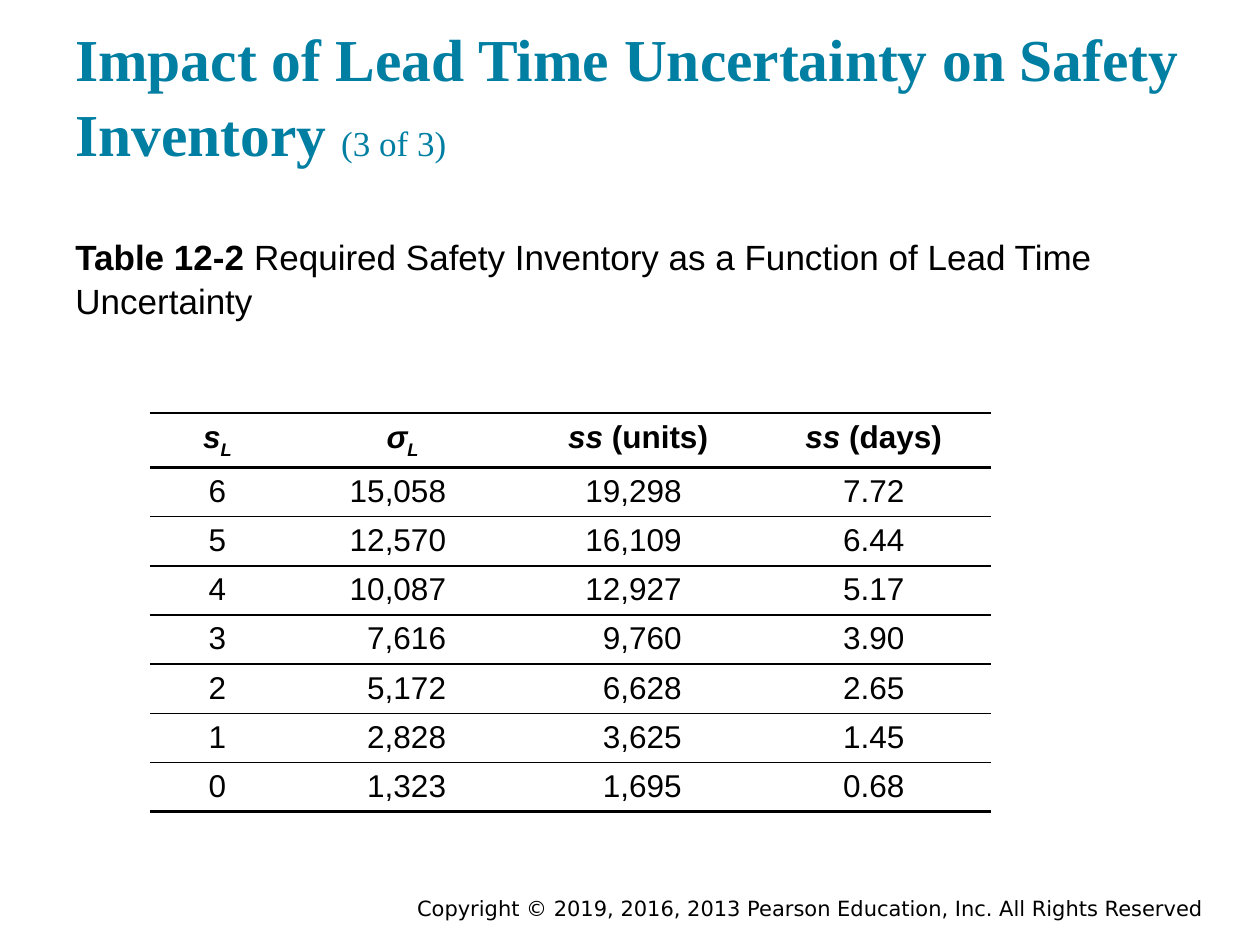
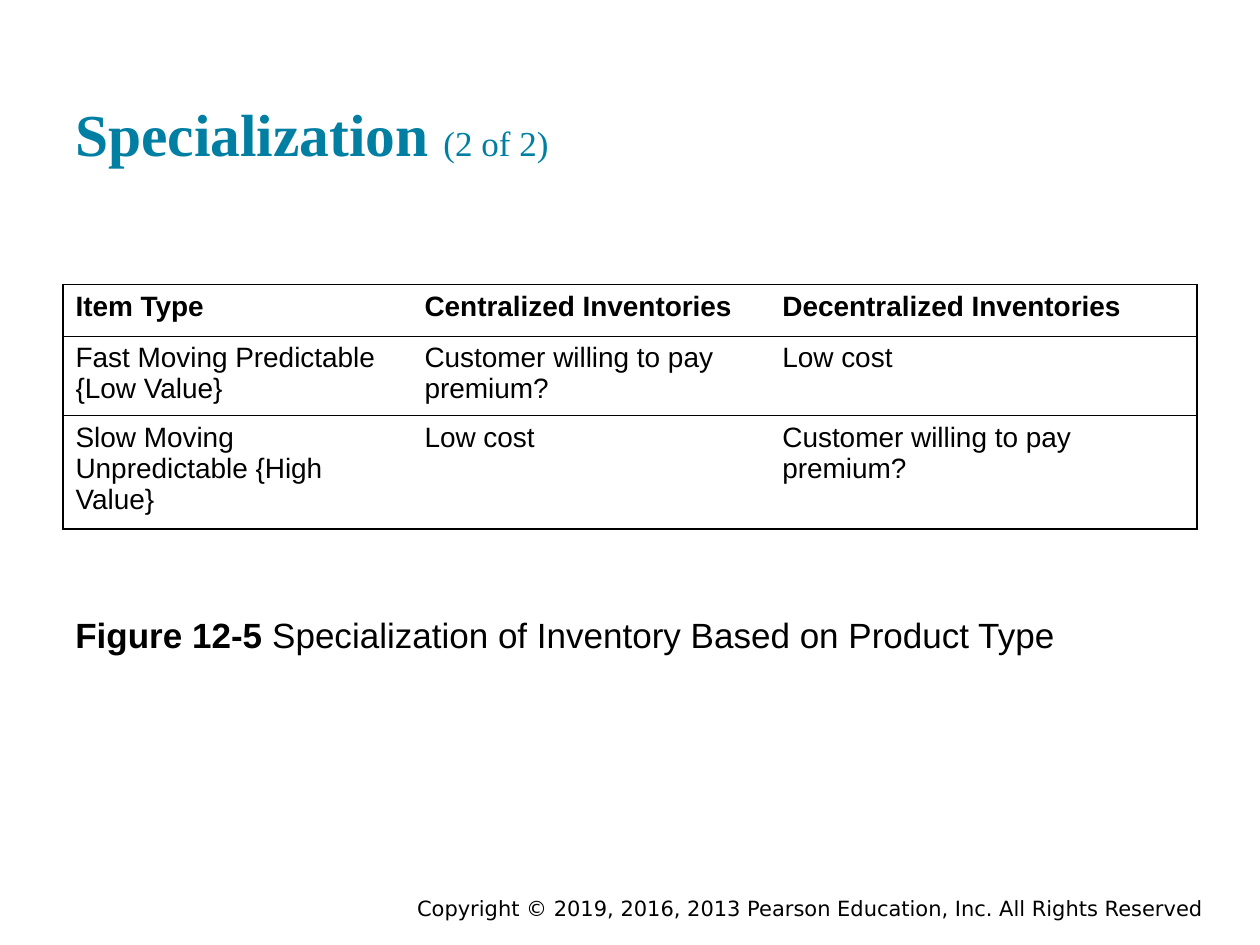
"""Build two slides on safety inventory and specialization."""
from dataclasses import dataclass
from typing import NamedTuple

from lxml import etree
from pptx import Presentation
from pptx import util as u
from pptx.dml.color import RGBColor
from pptx.enum import text
from pptx.oxml import ns

SCALE = 9144
PLAIN = "{2D5ABB26-0587-4C30-8999-92F81FD0307C}"
LEFT, MID, RIGHT = text.PP_ALIGN.LEFT, text.PP_ALIGN.CENTER, text.PP_ALIGN.RIGHT
TOP, CENTER, BOTTOM = (text.MSO_ANCHOR.TOP, text.MSO_ANCHOR.MIDDLE,
                       text.MSO_ANCHOR.BOTTOM)


@dataclass(frozen=True)
class Theme:
    """Colours, fonts and type sizes of the deck."""
    teal: str = "007FA3"
    black: str = "000000"
    serif: str = "Times New Roman"
    sans: str = "Arial"
    small: str = "DejaVu Sans"
    title: int = 34
    count: int = 20
    body: int = 20
    data: int = 18
    note: int = 16
    foot: int = 12


THEME = Theme()


class Run(NamedTuple):
    """One stretch of text in one style."""
    words: str
    size: int
    face: str = THEME.sans
    color: str = THEME.black
    bold: bool = False
    slant: bool = False
    sub: bool = False


class Box(NamedTuple):
    """A place on the slide in px."""
    x: int
    y: int
    w: int
    h: int


class Cell(NamedTuple):
    """The runs of a table cell and how they sit."""
    runs: list[Run]
    align: text.PP_ALIGN = LEFT
    inset: int = 10
    after: int = 0


class Edge(NamedTuple):
    """Border widths of a cell in points, zero for none."""
    L: float = 0
    R: float = 0
    T: float = 0
    B: float = 0


class Grid(NamedTuple):
    """A table with its place, sizes, cells and borders."""
    x: int
    y: int
    cols: list[int]
    rows: list[int]
    cells: list[list[Cell]]
    edges: list[list[Edge]]


def px(size: int) -> u.Emu:
    """Turn px into EMU."""
    return u.Emu(size * SCALE)


def write(para, runs: list[Run], align=LEFT) -> None:
    """Add runs to a paragraph."""
    para.alignment = align
    for item in runs:
        run = para.add_run()
        run.text = item.words
        font = run.font
        font.name, font.size = item.face, u.Pt(item.size)
        font.bold, font.italic = item.bold, item.slant
        font.color.rgb = RGBColor.from_string(item.color)
        if item.sub:
            run._r.get_or_add_rPr().set("baseline", "-25000")


def label(slide, box: Box, runs: list[Run], align=LEFT, anchor=TOP,
          inset: int = 10, lead: float = 1.0) -> None:
    """Place a text box."""
    frame = slide.shapes.add_textbox(*map(px, box)).text_frame
    frame.word_wrap = True
    frame.vertical_anchor = anchor
    frame.margin_left = frame.margin_right = px(10)
    frame.margin_top = frame.margin_bottom = px(inset)
    para = frame.paragraphs[0]
    para.line_spacing = lead
    write(para, runs, align)


def border(cell, edge: Edge) -> None:
    """Draw the four sides of a cell."""
    props = cell._tc.get_or_add_tcPr()
    for side, width in zip(edge._fields, edge):
        line = etree.SubElement(props, ns.qn(f"a:ln{side}"), w=str(u.Pt(width)))
        if width:
            fill = etree.SubElement(line, ns.qn("a:solidFill"))
            etree.SubElement(fill, ns.qn("a:srgbClr"), val=THEME.black)
        else:
            etree.SubElement(line, ns.qn("a:noFill"))


def draw(slide, grid: Grid) -> None:
    """Place a table."""
    size = Box(grid.x, grid.y, sum(grid.cols), sum(grid.rows))
    table = slide.shapes.add_table(
        len(grid.rows), len(grid.cols), *map(px, size)).table
    table.first_row = table.horz_banding = False
    table._tbl.tblPr.find(ns.qn("a:tableStyleId")).text = PLAIN
    for col, width in zip(table.columns, grid.cols):
        col.width = px(width)
    for row, high in zip(table.rows, grid.rows):
        row.height = px(high)
    for r, line in enumerate(grid.cells):
        for c, item in enumerate(line):
            cell = table.cell(r, c)
            cell.margin_left, cell.margin_right = px(10), px(item.inset)
            cell.margin_top, cell.margin_bottom = px(5), px(4)
            border(cell, grid.edges[r][c])
            cell.fill.background()
            para = cell.text_frame.paragraphs[0]
            para.space_after = u.Pt(item.after)
            write(para, item.runs, item.align)


def start(deck, title: str, count: str):
    """Add a blank slide with title and footer."""
    slide = deck.slides.add_slide(deck.slide_layouts[6])
    label(slide, Box(300, 708, 665, 25),
          [Run("Copyright © 2019, 2016, 2013 Pearson Education, Inc. "
               "All Rights Reserved", THEME.foot, THEME.small)],
          RIGHT, CENTER, inset=5)
    label(slide, Box(50, 24, 900, 120),
          [Run(title + " ", THEME.title, THEME.serif, THEME.teal, bold=True),
           Run(count, THEME.count, THEME.serif, THEME.teal)],
          anchor=BOTTOM, lead=1.05)
    return slide


def legend(slide, box: Box, name: str, words: str) -> None:
    """Place a caption with a bold number."""
    label(slide, box, [Run(name + " ", THEME.body, bold=True),
                       Run(words, THEME.body)], lead=1.05)


def head(sign: str, sub: str = "", unit: str = "") -> Cell:
    """Make a heading cell from a symbol and its subscript or unit."""
    runs = [Run(sign, THEME.data, bold=True, slant=True)]
    if sub:
        runs.append(Run(sub, THEME.data, bold=True, slant=True, sub=True))
    if unit:
        runs.append(Run(f" ({unit})", THEME.data, bold=True))
    return Cell(runs, MID)


def stock(deck) -> None:
    """Build the lead time slide."""
    slide = start(deck, "Impact of Lead Time Uncertainty on Safety Inventory",
                  "(3 of 3)")
    legend(slide, Box(50, 175, 900, 82), "Table 12-2",
           "Required Safety Inventory as a Function of Lead Time Uncertainty")
    data = [(6, 15058, 19298, 7.72), (5, 12570, 16109, 6.44),
            (4, 10087, 12927, 5.17), (3, 7616, 9760, 3.90),
            (2, 5172, 6628, 2.65), (1, 2828, 3625, 1.45),
            (0, 1323, 1695, 0.68)]
    forms = [("d", MID, 10), (",d", RIGHT, 59), (",d", RIGHT, 59),
             (".2f", MID, 10)]
    cells = [[head("s", sub="L"), head("σ", sub="L"),
              head("ss", unit="units"), head("ss", unit="days")]]
    cells += [[Cell([Run(format(num, form), THEME.data)], align, inset)
               for num, (form, align, inset) in zip(row, forms)]
              for row in data]
    rules = [1.5, 1.5] + [1] * (len(data) - 1) + [2.25]
    edges = [[Edge(T=top, B=base)] * len(forms)
             for top, base in zip(rules, rules[1:])]
    draw(slide, Grid(119, 328, [107] + [187] * 3, [42] + [38] * len(data),
                     cells, edges))


def kinds(deck) -> None:
    """Build the specialization slide."""
    slide = start(deck, "Specialization", "(2 of 2)")
    cheap, ask = "Low cost", "Customer willing to pay premium?"
    data = [("Item Type", "Centralized Inventories",
             "Decentralized Inventories"),
            ("Fast Moving Predictable {Low Value}", ask, cheap),
            ("Slow Moving Unpredictable {High Value}", cheap, ask)]
    cells = [[Cell([Run(words, THEME.note, bold=r == 0)], after=3)
              for words in row] for r, row in enumerate(data)]
    edges = [[Edge(L=1, T=1, B=1), Edge(T=1, B=1), Edge(R=1, T=1, B=1)]
             for _ in data]
    draw(slide, Grid(50, 226, [277, 284, 339], [41, 63, 90], cells, edges))
    legend(slide, Box(50, 475, 900, 55), "Figure 12-5",
           "Specialization of Inventory Based on Product Type")


def main() -> None:
    """Build and save the deck."""
    deck = Presentation()
    deck.slide_width, deck.slide_height = px(1000), px(750)
    stock(deck)
    kinds(deck)
    deck.save("out.pptx")


if __name__ == "__main__":
    main()
